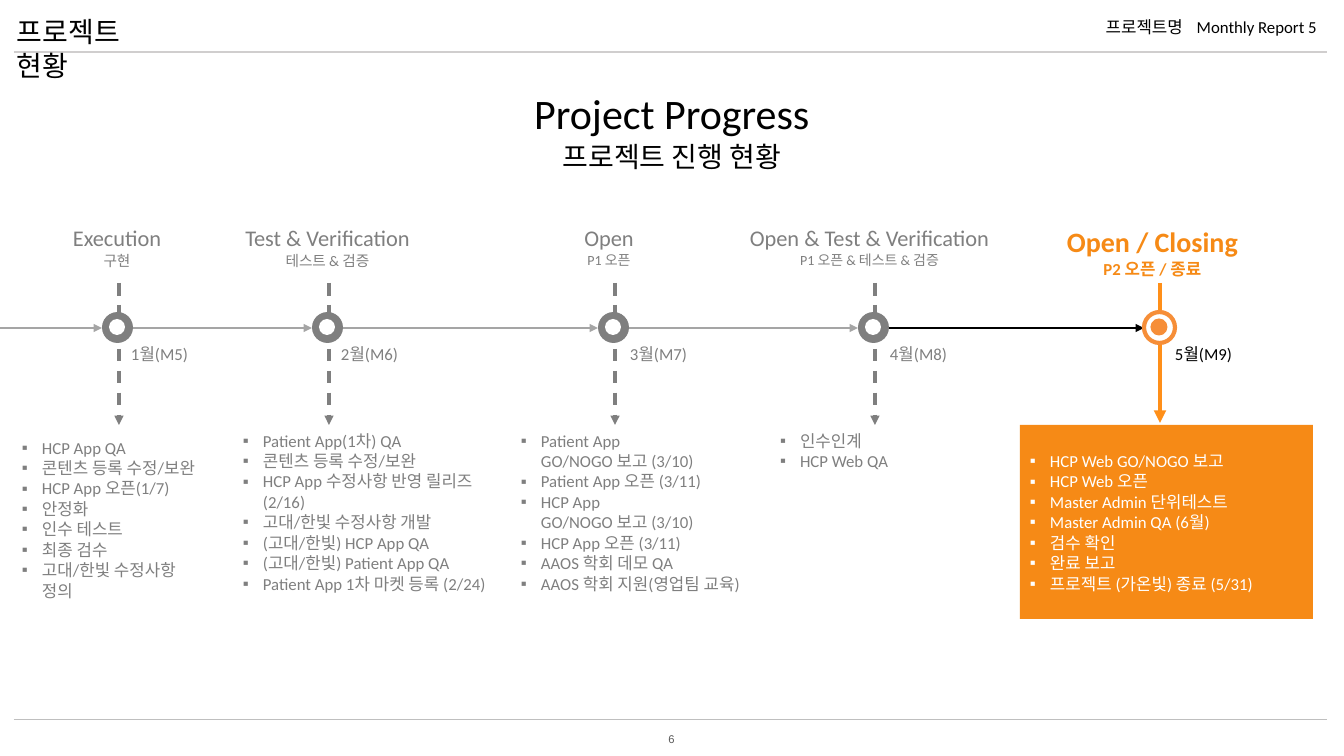
from copy import deepcopy
from dataclasses import dataclass

from lxml.etree import SubElement
from pptx import Presentation
from pptx.dml.color import RGBColor
from pptx.enum.dml import MSO_LINE
from pptx.enum.shapes import MSO_CONNECTOR, MSO_SHAPE
from pptx.enum.text import MSO_ANCHOR, PP_ALIGN
from pptx.oxml.ns import qn
from pptx.util import Emu, Pt

EMU_PER_PX = 914400 / 100.8
LINE_HEIGHT = 1.22
LATIN, HANGUL = "Calibri", "Noto Sans CJK KR"
COLORS = {
    "black": "000000", "white": "FFFFFF", "gray": "7F7F7F", "arrow": "A5A5A5",
    "header": "D0CECE", "footer": "BFBFBF", "page": "595959",
    "orange": "F68A16", "stem": "FF8F19", "ring": "F68E38",
}
NODE_TOP, NODE_SIZE, DOT_SIZE = 312, 31, 16
AXIS_Y, STEM_TOP, LABEL_TOP, MONTH_TOP = 328, 283, 219, 338
BULLET_INDENT = 20


@dataclass(frozen=True)
class Box:
    left: int
    top: int
    width: int
    height: int


@dataclass(frozen=True)
class Line:
    text: str
    size: float
    color: str = "black"
    bold: bool = False
    font: str = LATIN


@dataclass(frozen=True)
class Heading:
    box: Box
    line: Line
    align: PP_ALIGN
    wrap: bool = False


@dataclass(frozen=True)
class Milestone:
    node_left: int
    label_left: int
    label_width: int
    title: str
    subtitle: str
    subtitle_size: float
    month: str
    month_left: int
    task_box: Box
    tasks: tuple[str, ...]
    current: bool = False


HEADINGS = (
    Heading(Box(554, 727, 235, 24), Line("6", 8, "page", font="Arial"), PP_ALIGN.CENTER),
    Heading(Box(1181, 11, 146, 30), Line("Monthly Report 5", 12), PP_ALIGN.RIGHT),
    Heading(Box(1018, 11, 175, 30), Line("프로젝트명", 12), PP_ALIGN.RIGHT),
    Heading(Box(7, 9, 162, 78), Line("프로젝트 현황", 20), PP_ALIGN.LEFT, wrap=True),
    Heading(Box(486, 82, 372, 61), Line("Project Progress", 30), PP_ALIGN.CENTER),
    Heading(Box(537, 134, 270, 44), Line("프로젝트 진행 현황", 20), PP_ALIGN.CENTER),
)

MILESTONES = (
    Milestone(102, 60, 114, "Execution", "구현", 10.5, "1월(M5)", 119, Box(12, 432, 207, 173), (
        "HCP App QA", "콘텐츠 등록 수정/보완", "HCP App 오픈(1/7)", "안정화",
        "인수 테스트", "최종 검수", "고대/한빛 수정사항 정의")),
    Milestone(312, 230, 195, "Test & Verification", "테스트 & 검증", 10.5, "2월(M6)", 329,
              Box(233, 425, 264, 194), (
        "Patient App(1차) QA", "콘텐츠 등록 수정/보완", "HCP App 수정사항 반영 릴리즈(2/16)",
        "고대/한빛 수정사항 개발", "(고대/한빛) HCP App QA", "(고대/한빛) Patient App QA",
        "Patient App 1차 마켓 등록 (2/24)")),
    Milestone(598, 574, 70, "Open", "P1 오픈", 10, "3월(M7)", 618, Box(511, 425, 257, 173), (
        "Patient App\vGO/NOGO 보고 (3/10)", "Patient App 오픈 (3/11)",
        "HCP App\vGO/NOGO 보고 (3/10)", "HCP App 오픈 (3/11)",
        "AAOS 학회 데모 QA", "AAOS 학회 지원(영업팀 교육)")),
    Milestone(858, 734, 271, "Open & Test & Verification", "P1 오픈 & 테스트 & 검증", 10,
              "4월(M8)", 878, Box(770, 425, 223, 50), ("인수인계", "HCP Web QA")),
    Milestone(1144, 1053, 199, "Open / Closing", "P2 오픈 / 종료", 12, "5월(M9)", 1163,
              Box(1020, 425, 293, 194), (
        "HCP Web GO/NOGO 보고", "HCP Web 오픈", "Master Admin 단위테스트",
        "Master Admin QA (6월)", "검수 확인", "완료 보고", "프로젝트 (가온빛) 종료 (5/31)"),
              current=True),
)


def px(value: int) -> Emu:
    return Emu(round(value * EMU_PER_PX))


def rgb(name: str) -> RGBColor:
    return RGBColor.from_string(COLORS[name])


def place(box: Box) -> tuple[Emu, ...]:
    return px(box.left), px(box.top), px(box.width), px(box.height)


def add_bullet(paragraph, color: str) -> None:
    properties = paragraph._p.get_or_add_pPr()
    properties.set("marL", str(px(BULLET_INDENT)))
    properties.set("indent", str(-px(BULLET_INDENT)))
    bullet_color = SubElement(properties, qn("a:buClr"))
    SubElement(bullet_color, qn("a:srgbClr"), val=COLORS[color])
    SubElement(properties, qn("a:buFont"), typeface="Arial")
    SubElement(properties, qn("a:buChar"), char="▪")


def write(shape, lines: list[Line], align: PP_ALIGN, wrap: bool = True,
          anchor: MSO_ANCHOR = MSO_ANCHOR.TOP, bulleted: bool = False) -> None:
    frame = shape.text_frame
    frame_format = {
        "word_wrap": wrap, "vertical_anchor": anchor,
        "margin_left": px(10), "margin_right": px(10), "margin_top": px(5), "margin_bottom": px(5),
    }
    for name, value in frame_format.items():
        setattr(frame, name, value)
    for index, line in enumerate(lines):
        paragraph = frame.paragraphs[0] if index == 0 else frame.add_paragraph()
        paragraph.text = line.text
        paragraph.alignment = align
        paragraph.line_spacing = Pt(round(line.size * LINE_HEIGHT, 1))
        if bulleted:
            add_bullet(paragraph, line.color)
        font_format = {"name": line.font, "size": Pt(line.size), "bold": line.bold}
        for run in paragraph.runs:
            for name, value in font_format.items():
                setattr(run.font, name, value)
            run.font.color.rgb = rgb(line.color)
            SubElement(run._r.rPr, qn("a:ea"), typeface=HANGUL)
        for line_break in paragraph._p.findall(qn("a:br")):
            line_break.append(deepcopy(paragraph.runs[0]._r.rPr))


def add_text(slide, box: Box, lines: list[Line], align: PP_ALIGN, **options) -> None:
    write(slide.shapes.add_textbox(*place(box)), lines, align, **options)


def add_line(slide, start: tuple[int, int], end: tuple[int, int], color: str,
             width: float = 0.75, dashed: bool = False, arrow: bool = True) -> None:
    connector = slide.shapes.add_connector(
        MSO_CONNECTOR.STRAIGHT, *(px(value) for value in start + end))
    connector.line.color.rgb = rgb(color)
    connector.line.width = Pt(width)
    if dashed:
        connector.line.dash_style = MSO_LINE.DASH
    if arrow:
        SubElement(connector.line._get_or_add_ln(), qn("a:tailEnd"), type="triangle")
    SubElement(connector._element.spPr, qn("a:effectLst"))


def add_filled(shapes, kind: MSO_SHAPE, box: Box, fill: str, outline: str = "", width: float = 0.75):
    shape = shapes.add_shape(kind, *place(box))
    shape.shadow.inherit = False
    shape.fill.solid()
    shape.fill.fore_color.rgb = rgb(fill)
    if outline:
        shape.line.color.rgb = rgb(outline)
        shape.line.width = Pt(width)
    else:
        shape.line.fill.background()
    return shape


def add_node(slide, milestone: Milestone) -> None:
    inset = (NODE_SIZE - DOT_SIZE) // 2
    outer = Box(milestone.node_left, NODE_TOP, NODE_SIZE, NODE_SIZE)
    inner = Box(outer.left + inset, outer.top + inset, DOT_SIZE, DOT_SIZE)
    shapes = slide.shapes.add_group_shape().shapes
    if milestone.current:
        add_filled(shapes, MSO_SHAPE.OVAL, outer, "white", "ring", 3)
        add_filled(shapes, MSO_SHAPE.OVAL, inner, "ring", "ring")
    else:
        add_filled(shapes, MSO_SHAPE.OVAL, outer, "gray")
        add_filled(shapes, MSO_SHAPE.OVAL, inner, "white")


def add_milestone(slide, milestone: Milestone, axis_start: int) -> None:
    """Draw one stage with the timeline arrow that leads to it."""
    current = milestone.current
    label_color = "orange" if current else "gray"
    add_text(slide, Box(milestone.label_left, LABEL_TOP, milestone.label_width, 55), [
        Line(milestone.title, 20 if current else 16, label_color, current),
        Line(milestone.subtitle, milestone.subtitle_size, label_color, current),
    ], PP_ALIGN.CENTER, wrap=False)
    add_text(slide, Box(milestone.month_left, MONTH_TOP, 81, 30),
             [Line(milestone.month, 12, "black" if current else "gray")], PP_ALIGN.CENTER)

    if current:
        task_shape = add_filled(slide.shapes, MSO_SHAPE.RECTANGLE, milestone.task_box, "orange")
    else:
        task_shape = slide.shapes.add_textbox(*place(milestone.task_box))
    write(task_shape, [Line(task, 12, "white" if current else "gray") for task in milestone.tasks],
          PP_ALIGN.LEFT, anchor=MSO_ANCHOR.MIDDLE if current else MSO_ANCHOR.TOP, bulleted=True)

    add_line(slide, (axis_start, AXIS_Y), (milestone.node_left, AXIS_Y),
             "black" if current else "arrow")
    stem_x = milestone.node_left + (16 if current else 17)
    add_line(slide, (stem_x, STEM_TOP), (stem_x, 423 if current else 425),
             "stem" if current else "gray", 3 if current else 2.25, dashed=not current)
    add_node(slide, milestone)


def main() -> None:
    presentation = Presentation()
    presentation.slide_width, presentation.slide_height = px(1344), px(756)
    slide = presentation.slides.add_slide(presentation.slide_layouts[6])
    for y, color in ((720, "footer"), (52, "header")):
        add_line(slide, (14, y), (1327, y), color, arrow=False)
    for heading in HEADINGS:
        anchor = MSO_ANCHOR.MIDDLE if heading.line.color == "page" else MSO_ANCHOR.TOP
        add_text(slide, heading.box, [heading.line], heading.align, wrap=heading.wrap, anchor=anchor)
    axis_start = 0
    for milestone in MILESTONES:
        add_milestone(slide, milestone, axis_start)
        axis_start = milestone.node_left + NODE_SIZE
    presentation.save("out.pptx")


if __name__ == "__main__":
    main()
